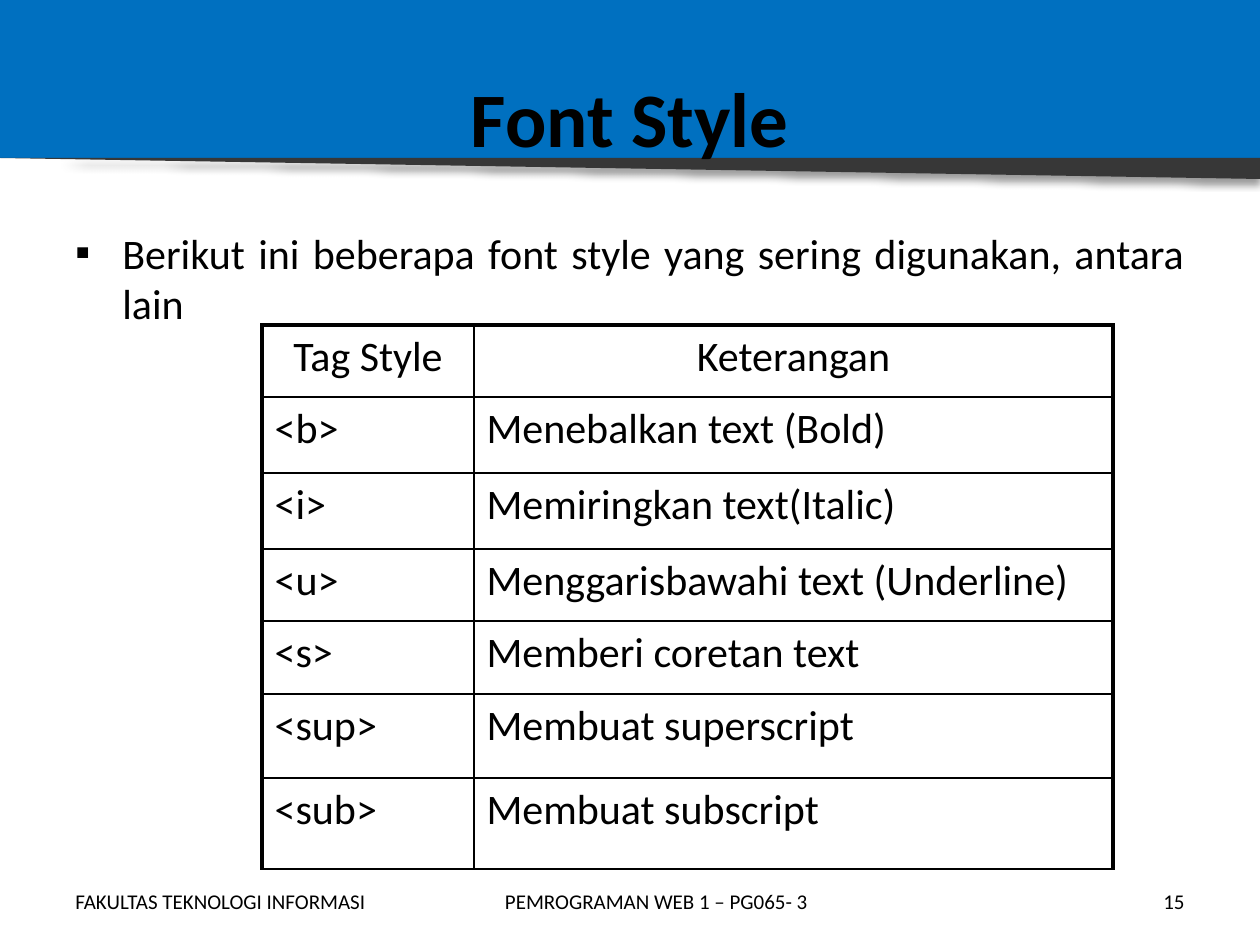
from dataclasses import dataclass

from lxml.etree import SubElement
from pptx import Presentation
from pptx.dml.color import RGBColor
from pptx.enum.shapes import MSO_SHAPE as Preset
from pptx.enum.text import MSO_ANCHOR as Anchor, PP_ALIGN as Align
from pptx.oxml.ns import qn
from pptx.util import Emu, Pt

PX_PER_INCH = 126
FONT = "Calibri"
BLACK, BLUE, CHARCOAL = "000000", "0070C0", "373737"
THICK, THIN = 2.25, 1


@dataclass(frozen=True)
class Box:
    left: int
    top: int
    width: int
    height: int


@dataclass(frozen=True)
class Label:
    words: str
    box: Box
    size: int
    align: Align = Align.LEFT
    anchor: Anchor = Anchor.MIDDLE
    bold: bool = False
    bullet: str = ""


@dataclass(frozen=True)
class TagRow:
    tag: str
    meaning: str
    height: int


HEADER_BAND = Box(0, 0, 1260, 158)
HEADER_EDGE = Box(0, 158, 1260, 21)
TABLE_BOX = Box(262, 325, 851, 544)
COLUMN_WIDTHS = (212, 639)

LABELS = (
    Label("Font Style", Box(63, 38, 1134, 158), 44, Align.CENTER, bold=True),
    Label("Berikut ini beberapa font style yang sering digunakan, antara lain",
          Box(63, 221, 1134, 623), 24, Align.JUSTIFY, Anchor.TOP, bullet="▪"),
    Label("FAKULTAS TEKNOLOGI INFORMASI", Box(63, 876, 347, 50), 12),
    Label("PEMROGRAMAN WEB 1 – PG065- 3", Box(431, 876, 451, 50), 12, Align.CENTER),
    Label("15", Box(903, 876, 294, 50), 12, Align.RIGHT),
)

TAG_ROWS = (
    TagRow("Tag Style", "Keterangan", 72),
    TagRow("<b>", "Menebalkan text (Bold)", 76),
    TagRow("<i>", "Memiringkan text(Italic)", 76),
    TagRow("<u>", "Menggarisbawahi text (Underline)", 72),
    TagRow("<s>", "Memberi coretan text", 73),
    TagRow("<sup>", "Membuat superscript", 84),
    TagRow("<sub>", "Membuat subscript", 91),
)


def px(length: int) -> Emu:
    return Emu(round(length * 914400 / PX_PER_INCH))


def place(box: Box) -> tuple:
    return px(box.left), px(box.top), px(box.width), px(box.height)


def color(code: str) -> RGBColor:
    return RGBColor.from_string(code)


def add_run(paragraph, words: str, size: int, bold: bool = False) -> None:
    run = paragraph.add_run()
    run.text = words
    run.font.name = FONT
    run.font.size = Pt(size)
    run.font.bold = bold
    run.font.color.rgb = color(BLACK)


def add_panel(slide, preset: Preset, box: Box, fill: str):
    panel = slide.shapes.add_shape(preset, *place(box))
    panel.shadow.inherit = False
    panel.fill.solid()
    panel.fill.fore_color.rgb = color(fill)
    panel.line.fill.background()
    return panel


def cast_shadow(panel) -> None:
    effects = panel.element.spPr.find(qn("a:effectLst"))
    shadow = SubElement(effects, qn("a:outerShdw"), blurRad=str(Pt(4)),
                        dist=str(Pt(3)), dir="5400000", rotWithShape="0")
    tint = SubElement(shadow, qn("a:srgbClr"), val=BLACK)
    SubElement(tint, qn("a:alpha"), val="40000")


def add_bullet(paragraph, mark: str) -> None:
    properties = paragraph._p.get_or_add_pPr()
    properties.set("marL", str(px(47)))
    properties.set("indent", str(px(-47)))
    SubElement(properties, qn("a:buFont"), typeface=FONT)
    SubElement(properties, qn("a:buChar"), char=mark)


def add_label(slide, label: Label) -> None:
    frame = slide.shapes.add_textbox(*place(label.box)).text_frame
    frame.word_wrap = True
    frame.vertical_anchor = label.anchor
    paragraph = frame.paragraphs[0]
    paragraph.alignment = label.align
    if label.bullet:
        add_bullet(paragraph, label.bullet)
    add_run(paragraph, label.words, label.size, label.bold)


def set_borders(cell, widths: dict[str, float]) -> None:
    properties = cell._tc.get_or_add_tcPr()
    for side, width in widths.items():
        line = SubElement(properties, qn(f"a:ln{side}"), w=str(Pt(width)))
        fill = SubElement(line, qn("a:solidFill"))
        SubElement(fill, qn("a:srgbClr"), val=BLACK)


def add_tag_table(slide) -> None:
    table = slide.shapes.add_table(
        len(TAG_ROWS), len(COLUMN_WIDTHS), *place(TABLE_BOX)).table
    table.first_row = table.horz_banding = False
    for column, width in zip(table.columns, COLUMN_WIDTHS):
        column.width = px(width)
    last_column = len(COLUMN_WIDTHS) - 1
    for r, entry in enumerate(TAG_ROWS):
        table.rows[r].height = px(entry.height)
        for c, words in enumerate((entry.tag, entry.meaning)):
            cell = table.cell(r, c)
            set_borders(cell, {
                "L": THICK if c == 0 else THIN,
                "R": THICK if c == last_column else THIN,
                "T": THICK if r == 0 else THIN,
                "B": THIN,
            })
            cell.fill.background()
            paragraph = cell.text_frame.paragraphs[0]
            paragraph.alignment = Align.CENTER if r == 0 else Align.LEFT
            add_run(paragraph, words, 24)


def main() -> None:
    deck = Presentation()
    deck.slide_width, deck.slide_height = px(1260), px(945)
    slide = deck.slides.add_slide(deck.slide_layouts[6])
    add_panel(slide, Preset.RECTANGLE, HEADER_BAND, BLUE)
    edge = add_panel(slide, Preset.RIGHT_TRIANGLE, HEADER_EDGE, CHARCOAL)
    edge.rotation = 180
    cast_shadow(edge)
    for label in LABELS:
        add_label(slide, label)
    add_tag_table(slide)
    deck.save("out.pptx")


if __name__ == "__main__":
    main()
